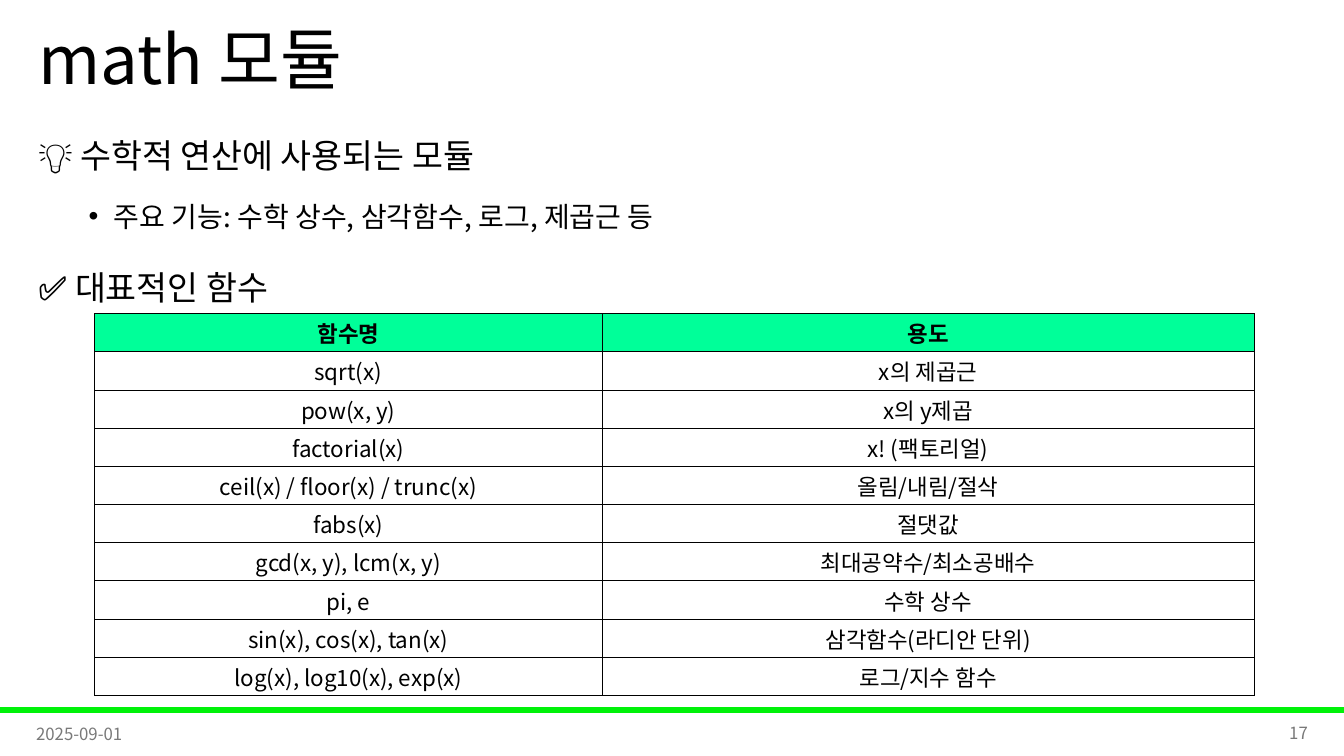
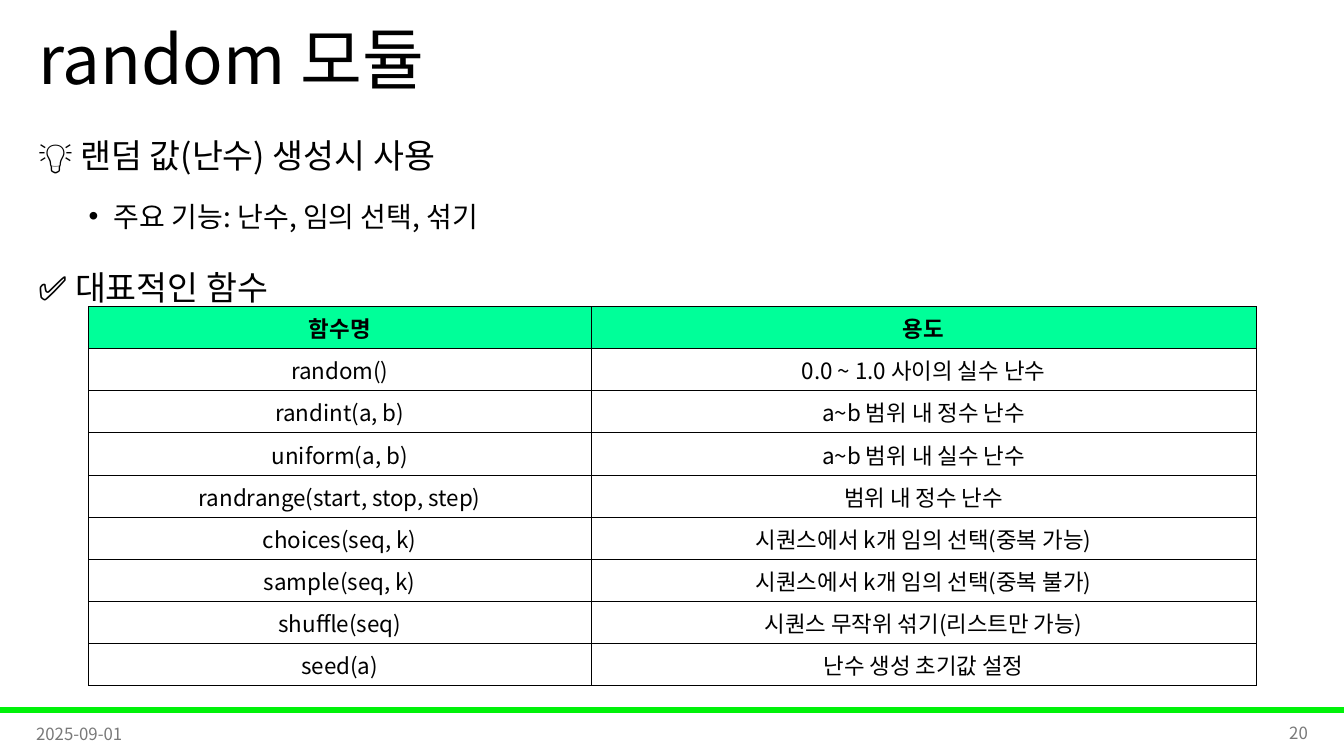
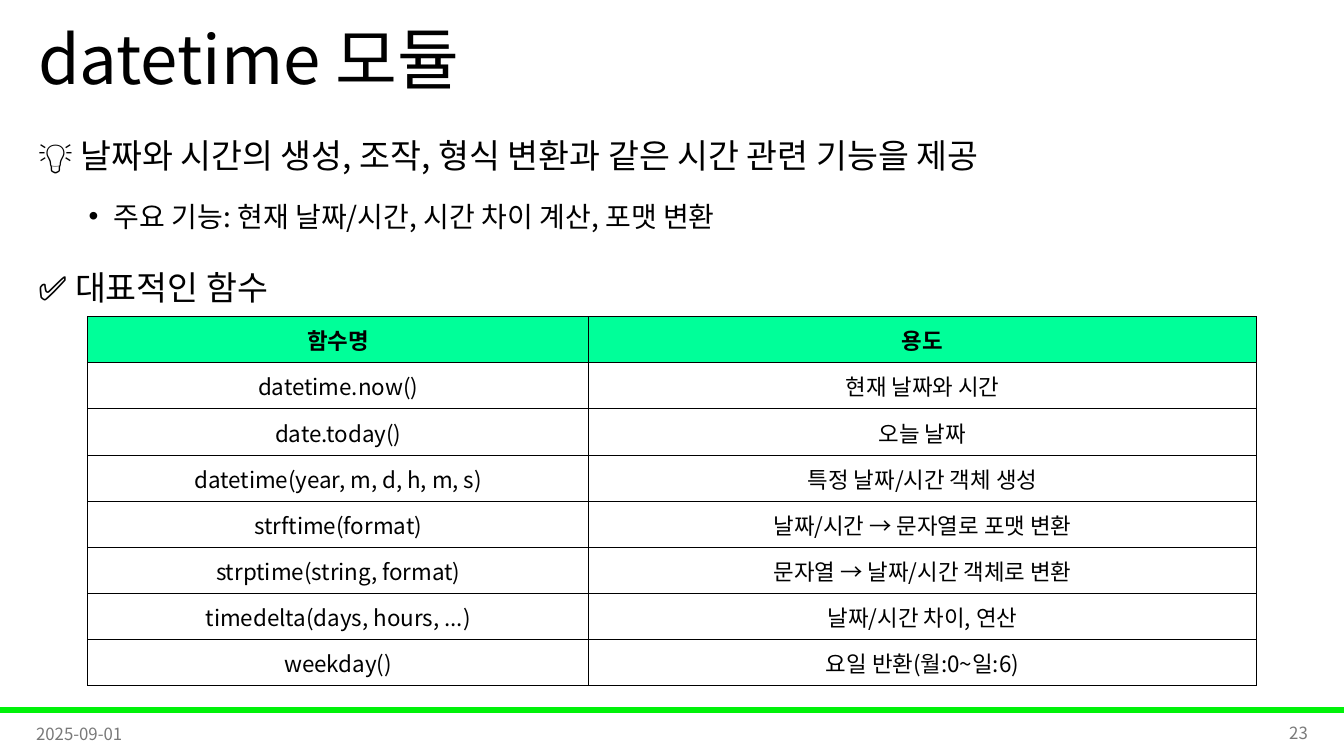
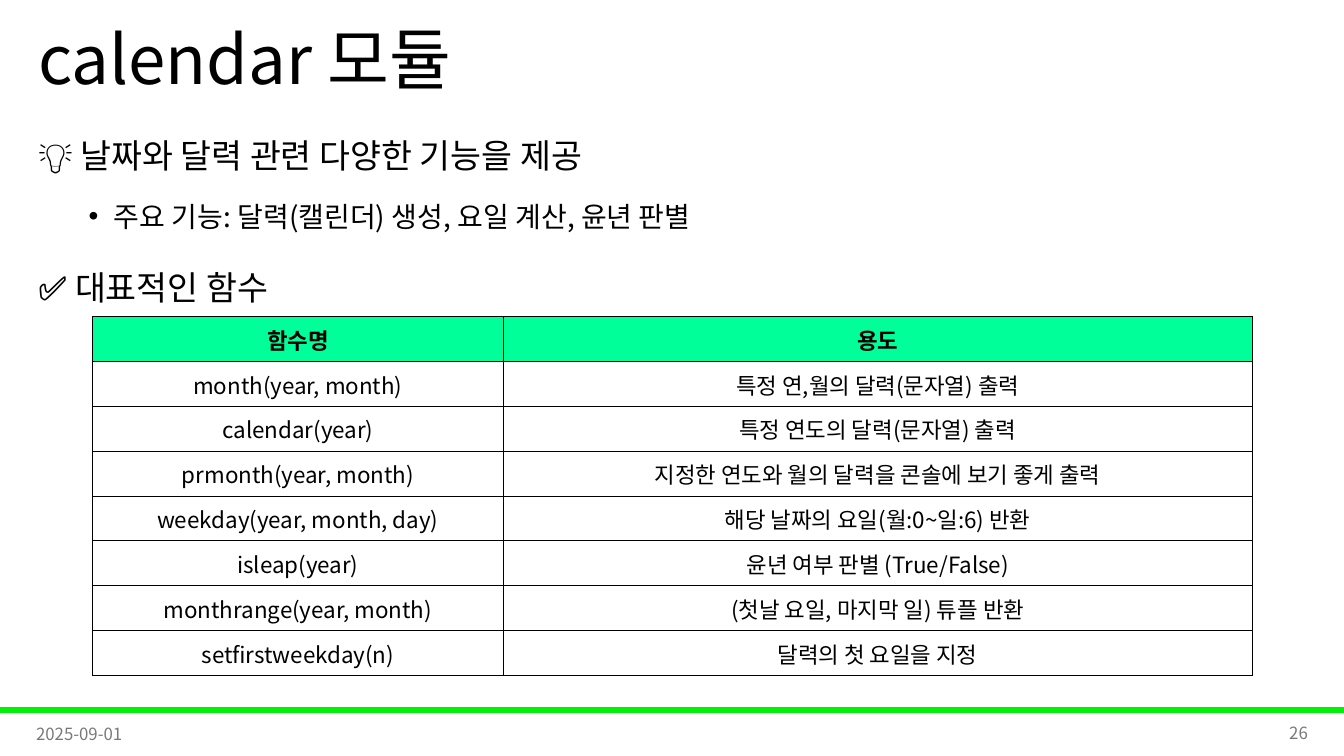
from pptx import Presentation
from pptx.dml.color import RGBColor
from pptx.enum.shapes import MSO_SHAPE
from pptx.enum.text import MSO_ANCHOR, PP_ALIGN
from pptx.oxml.ns import qn
from pptx.util import Inches, Pt
from lxml.etree import SubElement

FONT = "Noto Sans CJK KR"
BLACK = RGBColor(0x00, 0x00, 0x00)
GRAY = RGBColor(0x79, 0x79, 0x79)
BAND_GREEN = RGBColor(0x00, 0xF2, 0x09)
HEADER_GREEN = RGBColor(0x00, 0xFF, 0x99)

SLIDE_W, SLIDE_H = 13.33, 7.5
DATE = "2025-09-01"
TABLE_HEADING = "✅ 대표적인 함수"
HEADER = ("함수명", "용도")

# Each table box holds left, top and height; cols holds the column widths.
MODULES = [
    {
        "title": "math 모듈",
        "page": 17,
        "summary": "💡 수학적 연산에 사용되는 모듈",
        "features": "주요 기능: 수학 상수, 삼각함수, 로그, 제곱근 등",
        "box": (0.94, 3.11, 3.79),
        "cols": (5.03, 6.47),
        "rows": [
            ("sqrt(x)", "x의 제곱근"),
            ("pow(x, y)", "x의 y제곱"),
            ("factorial(x)", "x! (팩토리얼)"),
            ("ceil(x) / floor(x) / trunc(x)", "올림/내림/절삭"),
            ("fabs(x)", "절댓값"),
            ("gcd(x, y), lcm(x, y)", "최대공약수/최소공배수"),
            ("pi, e", "수학 상수"),
            ("sin(x), cos(x), tan(x)", "삼각함수(라디안 단위)"),
            ("log(x), log10(x), exp(x)", "로그/지수 함수"),
        ],
    },
    {
        "title": "random 모듈",
        "page": 20,
        "summary": "💡 랜덤 값(난수) 생성시 사용",
        "features": "주요 기능: 난수, 임의 선택, 섞기",
        "box": (0.88, 3.04, 3.76),
        "cols": (4.98, 6.6),
        "rows": [
            ("random()", "0.0 ~ 1.0 사이의 실수 난수"),
            ("randint(a, b)", "a~b 범위 내 정수 난수"),
            ("uniform(a, b)", "a~b 범위 내 실수 난수"),
            ("randrange(start, stop, step)", "범위 내 정수 난수"),
            ("choices(seq, k)", "시퀀스에서 k개 임의 선택(중복 가능)"),
            ("sample(seq, k)", "시퀀스에서 k개 임의 선택(중복 불가)"),
            ("shuffle(seq)", "시퀀스 무작위 섞기(리스트만 가능)"),
            ("seed(a)", "난수 생성 초기값 설정"),
        ],
    },
    {
        "title": "datetime 모듈",
        "page": 23,
        "summary": "💡 날짜와 시간의 생성, 조작, 형식 변환과 같은 시간 관련 기능을 제공",
        "features": "주요 기능: 현재 날짜/시간, 시간 차이 계산, 포맷 변환",
        "box": (0.87, 3.14, 3.66),
        "cols": (4.97, 6.62),
        "rows": [
            ("datetime.now()", "현재 날짜와 시간"),
            ("date.today()", "오늘 날짜"),
            ("datetime(year, m, d, h, m, s)", "특정 날짜/시간 객체 생성"),
            ("strftime(format)", "날짜/시간 → 문자열로 포맷 변환"),
            ("strptime(string, format)", "문자열 → 날짜/시간 객체로 변환"),
            ("timedelta(days, hours, ...)", "날짜/시간 차이, 연산"),
            ("weekday()", "요일 반환(월:0~일:6)"),
        ],
    },
    {
        "title": "calendar 모듈",
        "page": 26,
        "summary": "💡 날짜와 달력 관련 다양한 기능을 제공",
        "features": "주요 기능: 달력(캘린더) 생성, 요일 계산, 윤년 판별",
        "box": (0.92, 3.14, 3.56),
        "cols": (4.07, 7.43),
        "rows": [
            ("month(year, month)", "특정 연,월의 달력(문자열) 출력"),
            ("calendar(year)", "특정 연도의 달력(문자열) 출력"),
            ("prmonth(year, month)", "지정한 연도와 월의 달력을 콘솔에 보기 좋게 출력"),
            ("weekday(year, month, day)", "해당 날짜의 요일(월:0~일:6) 반환"),
            ("isleap(year)", "윤년 여부 판별 (True/False)"),
            ("monthrange(year, month)", "(첫날 요일, 마지막 일) 튜플 반환"),
            ("setfirstweekday(n)", "달력의 첫 요일을 지정"),
        ],
    },
]


def write(p, text, size, color=BLACK, bold=False, align=PP_ALIGN.LEFT,
          line=1.0, before=0):
    p.alignment = align
    p.line_spacing = line
    p.space_before = Pt(before)
    r = p.add_run()
    r.text = text
    r.font.size = Pt(size)
    r.font.bold = bold
    r.font.name = FONT
    r.font.color.rgb = color
    for script in ("a:ea", "a:cs"):
        SubElement(r.font._element, qn(script), typeface=FONT)


def add_text_frame(s, left, top, width, height, anchor=MSO_ANCHOR.MIDDLE):
    tf = s.shapes.add_textbox(*map(Inches, (left, top, width, height))).text_frame
    tf.word_wrap = True
    tf.vertical_anchor = anchor
    return tf


def add_bullet(p):
    pPr = p._p.get_or_add_pPr()
    pPr.set("marL", str(Inches(0.75)))
    pPr.set("indent", str(Inches(-0.25)))
    SubElement(pPr, qn("a:buFont"), typeface="Arial")
    SubElement(pPr, qn("a:buChar"), char="•")


def add_frame(s, title, page):
    """Add what every slide shares: title, green band, date and page number."""
    band = s.shapes.add_shape(MSO_SHAPE.RECTANGLE, 0, Inches(7.02),
                              Inches(SLIDE_W), Inches(0.05))
    band.shadow.inherit = False
    band.fill.solid()
    band.fill.fore_color.rgb = BAND_GREEN
    band.line.color.rgb = BAND_GREEN
    band.line.width = Pt(1)

    write(add_text_frame(s, 0.28, 0, 11.5, 1.25).paragraphs[0], title, 48, line=0.9)
    write(add_text_frame(s, 0.26, 7.08, 3, 0.4).paragraphs[0], DATE, 12, color=GRAY)
    write(add_text_frame(s, 10.07, 7.07, 3, 0.4).paragraphs[0], str(page), 12,
          color=GRAY, align=PP_ALIGN.RIGHT)


def add_outline(s, summary, features):
    tf = add_text_frame(s, 0.28, 1.09, 11.5, 2.05, anchor=MSO_ANCHOR.TOP)
    write(tf.paragraphs[0], summary, 24, line=1.5, before=10)
    p = tf.add_paragraph()
    p.level = 1
    write(p, features, 20, line=1.5, before=5)
    add_bullet(p)
    write(tf.add_paragraph(), TABLE_HEADING, 24, line=1.5, before=10)


def add_borders(cell):
    tcPr = cell._tc.get_or_add_tcPr()
    for side in ("a:lnL", "a:lnR", "a:lnT", "a:lnB"):
        ln = SubElement(tcPr, qn(side), w=str(Pt(0.5)))
        fill = SubElement(ln, qn("a:solidFill"))
        SubElement(fill, qn("a:srgbClr"), val=str(BLACK))


def add_function_table(s, box, cols, rows):
    left, top, height = box
    rows = [HEADER, *rows]
    table = s.shapes.add_table(len(rows), len(cols), Inches(left), Inches(top),
                               Inches(sum(cols)), Inches(height)).table
    table.horz_banding = False
    for column, width in zip(table.columns, cols):
        column.width = Inches(width)
    for i, row in enumerate(rows):
        is_header = i == 0
        for j, text in enumerate(row):
            cell = table.cell(i, j)
            cell.margin_left = cell.margin_right = cell.margin_top = Inches(0.01)
            cell.margin_bottom = 0
            cell.vertical_anchor = MSO_ANCHOR.MIDDLE
            add_borders(cell)
            if is_header:
                cell.fill.solid()
                cell.fill.fore_color.rgb = HEADER_GREEN
            else:
                cell.fill.background()
            write(cell.text_frame.paragraphs[0], text, 16, bold=is_header,
                  align=PP_ALIGN.CENTER)


def main():
    prs = Presentation()
    prs.slide_width, prs.slide_height = Inches(SLIDE_W), Inches(SLIDE_H)
    for module in MODULES:
        s = prs.slides.add_slide(prs.slide_layouts[6])
        add_frame(s, module["title"], module["page"])
        add_outline(s, module["summary"], module["features"])
        add_function_table(s, module["box"], module["cols"], module["rows"])
    prs.save("out.pptx")


if __name__ == "__main__":
    main()
